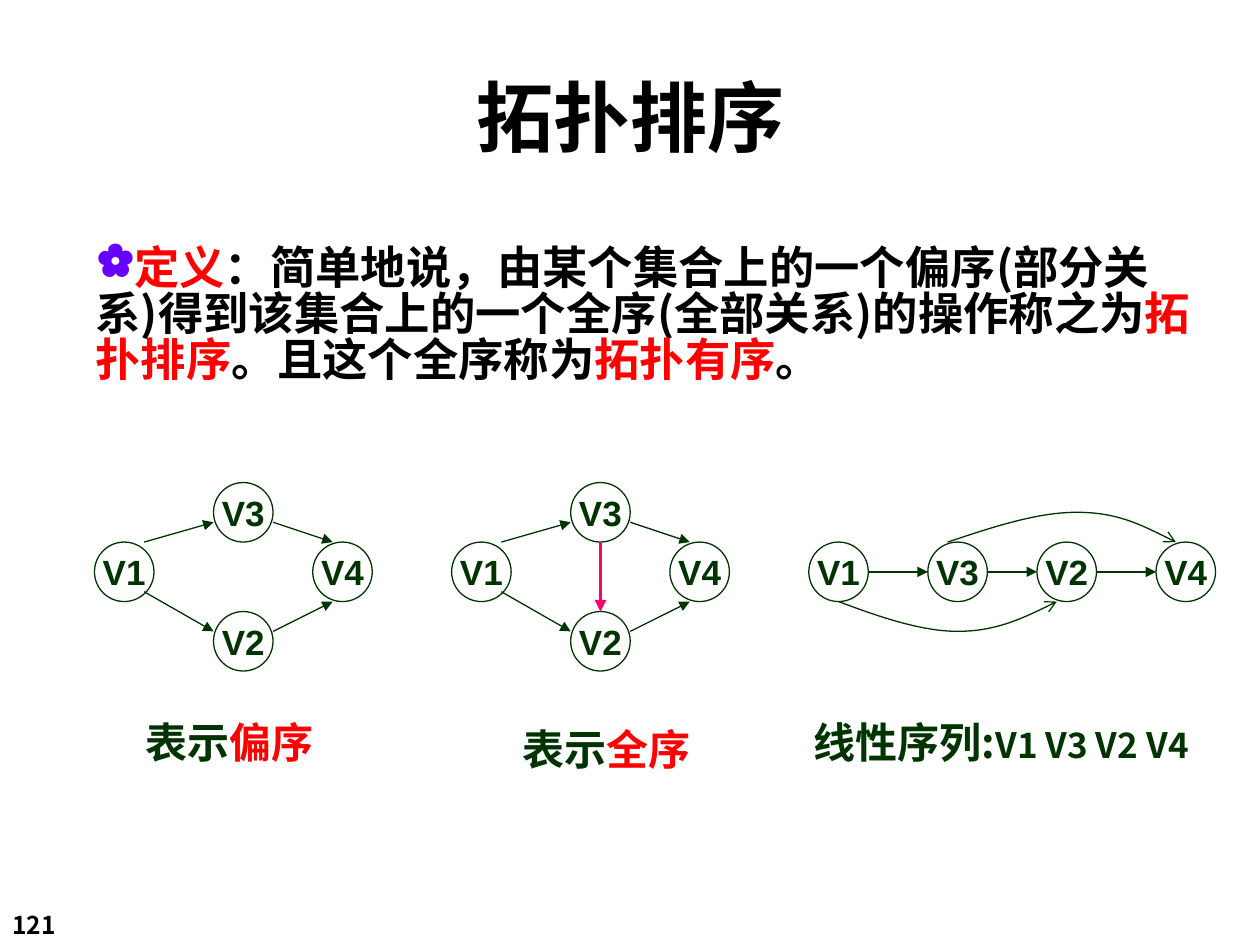
from dataclasses import dataclass

from lxml.etree import SubElement
from pptx import Presentation
from pptx.dml.color import RGBColor
from pptx.enum.shapes import MSO_CONNECTOR, MSO_SHAPE
from pptx.enum.text import MSO_ANCHOR, PP_ALIGN
from pptx.oxml.ns import qn
from pptx.util import Inches, Pt


@dataclass(frozen=True)
class Theme:
    black: str = "000000"
    red: str = "FF0000"
    green: str = "003300"
    pink: str = "FF0066"
    violet: str = "6600FF"
    heading_font: str = "Noto Sans CJK SC"
    node_font: str = "Arial"
    title_size: float = 44
    body_size: float = 25.9
    caption_size: float = 24
    node_size: float = 20
    page_size: float = 14
    thin: float = 0.75
    thick: float = 2.25


theme = Theme()

TITLE = [("拓扑排序", theme.black, theme.title_size)]
PAGE_NUMBER = [("121", theme.black, theme.page_size)]
DEFINITION = [
    (text, color, theme.body_size)
    for text, color in [
        ("定义", theme.red),
        ("：简单地说，由某个集合上的一个偏序(部分关系)得到该集合上的一个全序(全部关系)的操作称之为", theme.black),
        ("拓扑排序", theme.red),
        ("。且这个全序称为", theme.black),
        ("拓扑有序", theme.red),
        ("。", theme.black),
    ]
]
CAPTIONS = [
    ((1.06, 5.64, 1.58, 0.5),
     [("表示", theme.green, theme.caption_size), ("偏序", theme.red, theme.caption_size)]),
    ((4.05, 5.69, 1.58, 0.5),
     [("表示", theme.green, theme.caption_size), ("全序", theme.red, theme.caption_size)]),
    ((6.36, 5.64, 3.55, 0.84),
     [("线性序列:", theme.green, theme.caption_size), ("V1 V3 V2 V4", theme.green, theme.node_size)]),
]

DIAMOND_NODES = {"V1": (0, 6), "V2": (12, 13), "V3": (12, 0), "V4": (22, 6)}
DIAMOND_ARROWS = [
    ((5, 6), (12, 4)), ((5, 11), (12, 15)), ((18, 4), (24, 6)), ((18, 15), (24, 12)),
]
DIAGRAMS = [
    {"nodes": DIAMOND_NODES, "arrows": DIAMOND_ARROWS},
    {"nodes": DIAMOND_NODES, "arrows": DIAMOND_ARROWS, "added": [((15, 6), (15, 13))]},
    {
        "nodes": {"V1": (0, 6), "V3": (12, 6), "V2": (23, 6), "V4": (35, 6)},
        "arrows": [((6, 9), (12, 9)), ((18, 9), (23, 9)), ((29, 9), (35, 9))],
        "curves": [
            [(3, 12), (7, 13.5), (11.3, 15), (15, 15), (18.7, 15), (22, 13.5), (25, 12)],
            [(14, 6), (18.5, 4.5), (23, 3), (27, 3), (31, 3), (34, 4.5), (37, 6)],
        ],
    },
]

deck = Presentation()
deck.slide_width, deck.slide_height = Inches(10), Inches(7.5)
page = deck.slides.add_slide(deck.slide_layouts[6])

UNIT = deck.slide_width / 127
DIAGRAM_STEP = 36
NODE_SPAN = 6
DIAGRAM_LEFT, DIAGRAM_TOP = Inches(0.75), Inches(3.83)


def style_span(span, color, size, font):
    span.font.size, span.font.bold, span.font.name = Pt(size), True, font
    span.font.color.rgb = RGBColor.from_string(color)
    SubElement(span.font._element, qn("a:ea"), typeface=font)


def add_text(place, spans, align=PP_ALIGN.LEFT, anchor=MSO_ANCHOR.TOP):
    box = page.shapes.add_textbox(*map(Inches, place))
    box.text_frame.word_wrap = True
    box.text_frame.vertical_anchor = anchor
    para = box.text_frame.paragraphs[0]
    para.alignment = align
    for text, color, size in spans:
        span = para.add_run()
        span.text = text
        style_span(span, color, size, theme.heading_font)
    return para


def add_flower_bullet(para):
    properties = para._p.get_or_add_pPr()
    properties.set("marL", str(Inches(0.49)))
    properties.set("indent", str(Inches(0.01)))
    bullet_color = SubElement(properties, qn("a:buClr"))
    SubElement(bullet_color, qn("a:srgbClr"), val=theme.violet)
    SubElement(properties, qn("a:buChar"), char="✿")


def style_line(shape, color, width, arrowhead=None):
    shape.line.color.rgb = RGBColor.from_string(color)
    shape.line.width = Pt(width)
    if arrowhead:
        SubElement(shape.line._get_or_add_ln(), qn("a:tailEnd"), type=arrowhead)


def add_node(group, label, corner):
    node = group.shapes.add_shape(
        MSO_SHAPE.FLOWCHART_CONNECTOR, *corner, round(NODE_SPAN * UNIT), round(NODE_SPAN * UNIT))
    node.shadow.inherit = False
    node.fill.background()
    style_line(node, theme.green, theme.thin)
    frame = node.text_frame
    frame.text = label
    frame.word_wrap = False
    frame.vertical_anchor = MSO_ANCHOR.MIDDLE
    frame.paragraphs[0].alignment = PP_ALIGN.CENTER
    style_span(frame.paragraphs[0].runs[0], theme.green, theme.node_size, theme.node_font)


def add_arrow(group, start, end, color, width):
    arrow = group.shapes.add_connector(MSO_CONNECTOR.STRAIGHT, *start, *end)
    style_line(arrow, color, width, "triangle")
    SubElement(arrow._element.spPr, qn("a:effectLst"))


def add_curve(group, points):
    builder = group.shapes.build_freeform(*points[0])
    builder.add_line_segments(points[1:], close=False)
    curve = builder.convert_to_shape()
    curve.shadow.inherit = False
    curve.fill.background()
    style_line(curve, theme.green, theme.thin, "arrow")
    outline = next(curve._element.iter(qn("a:path")))
    segments = outline.findall(qn("a:lnTo"))
    for first in range(0, len(segments), 3):
        bezier = SubElement(outline, qn("a:cubicBezTo"))
        for segment in segments[first:first + 3]:
            bezier.append(segment[0])
            outline.remove(segment)


def draw_diagram(index, diagram):
    def locate(point):
        column, row = point
        return (round(DIAGRAM_LEFT + (index * DIAGRAM_STEP + column) * UNIT),
                round(DIAGRAM_TOP + row * UNIT))

    group = page.shapes.add_group_shape()
    for label, corner in diagram["nodes"].items():
        add_node(group, label, locate(corner))
    for start, end in diagram["arrows"]:
        add_arrow(group, locate(start), locate(end), theme.green, theme.thin)
    for start, end in diagram.get("added", []):
        add_arrow(group, locate(start), locate(end), theme.pink, theme.thick)
    for points in diagram.get("curves", []):
        add_curve(group, [locate(point) for point in points])


add_text((0, 7.17, 0.83, 0.34), PAGE_NUMBER)
definition = add_text((0.17, 1.92, 9.48, 1.42), DEFINITION)
add_flower_bullet(definition)
definition.line_spacing = 0.84
for index, diagram in enumerate(DIAGRAMS):
    draw_diagram(index, diagram)
for place, spans in CAPTIONS:
    add_text(place, spans)
add_text((0.42, 0.42, 9.17, 1), TITLE, PP_ALIGN.CENTER, MSO_ANCHOR.MIDDLE)

deck.save("out.pptx")
